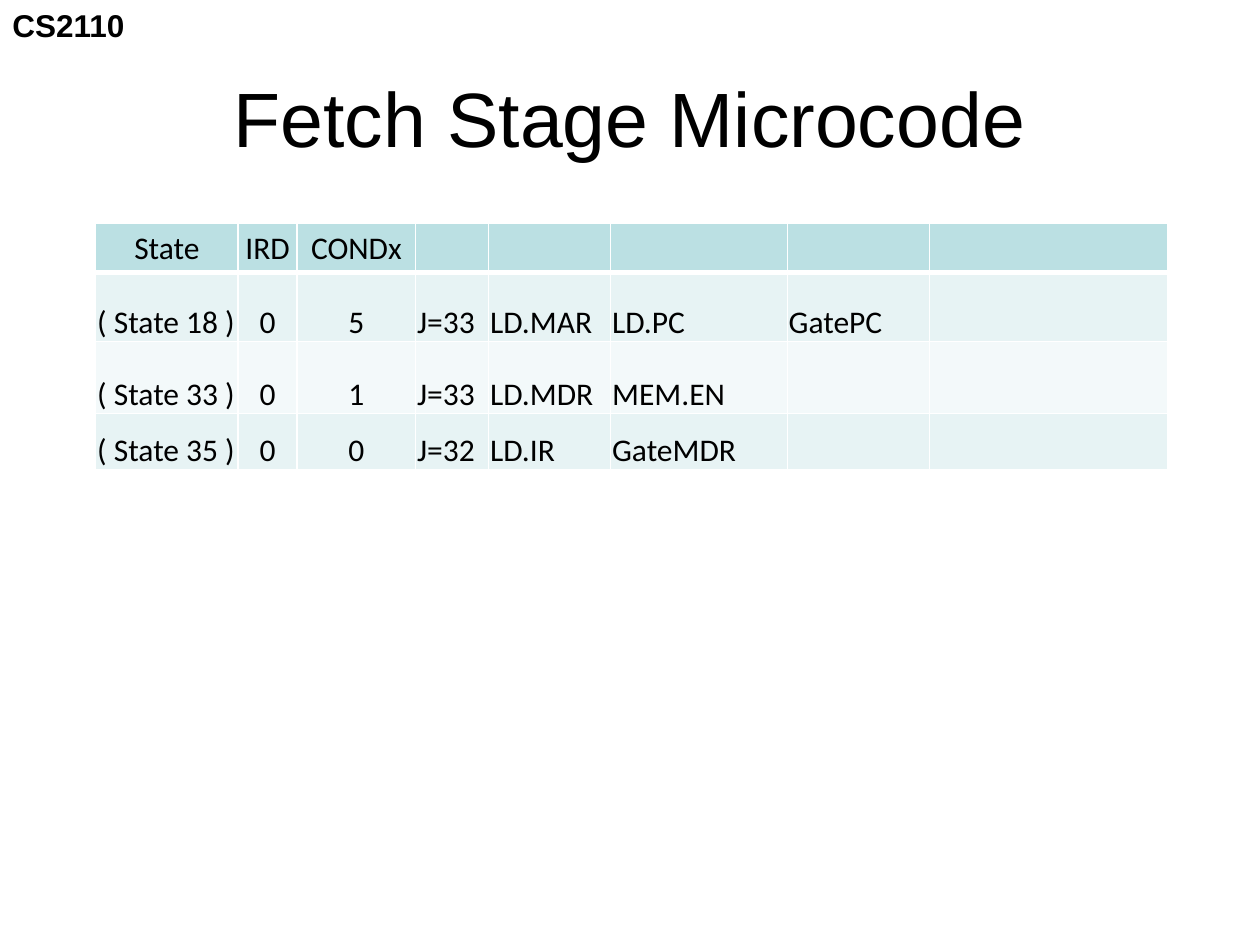
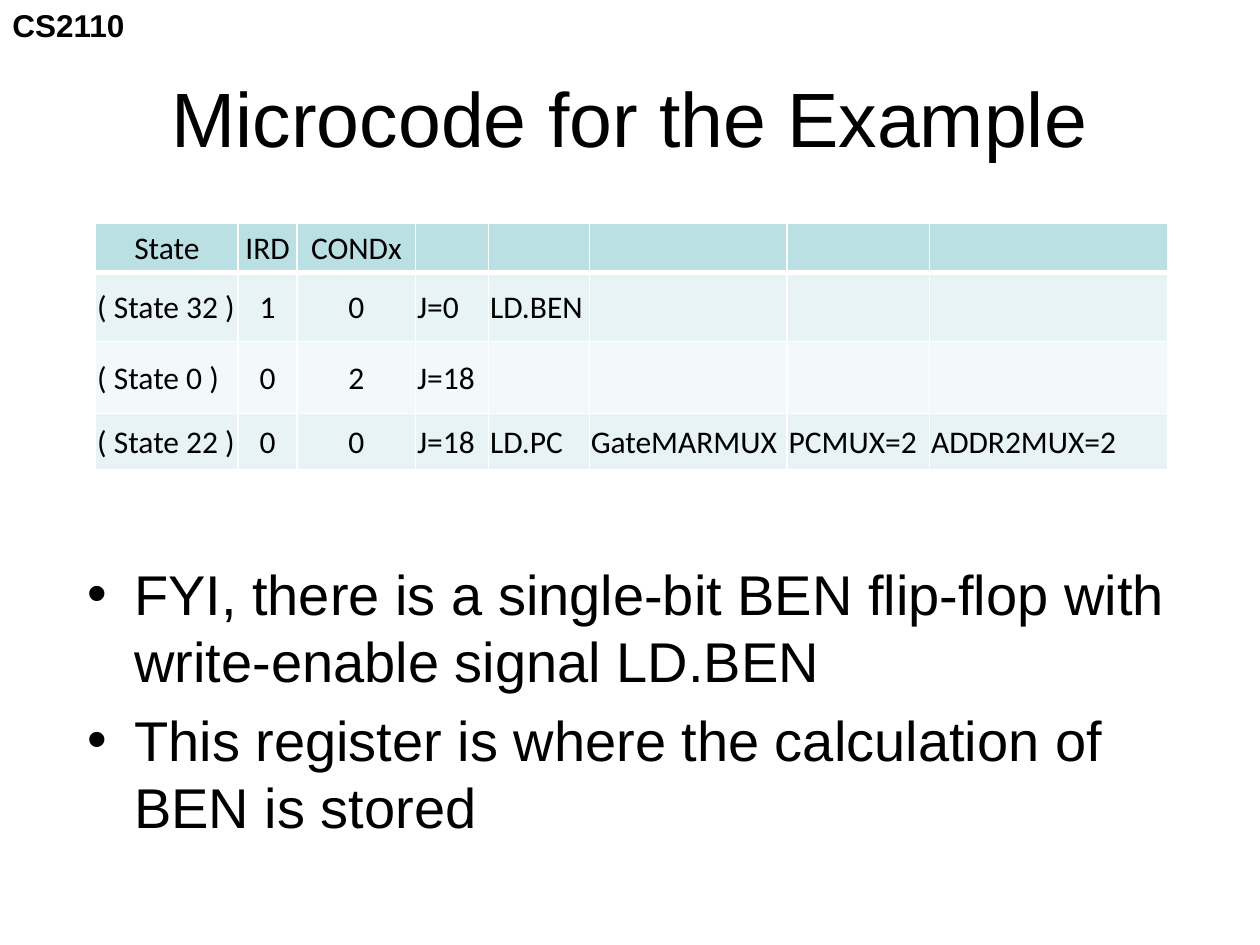
from dataclasses import dataclass

from lxml import etree
from pptx import Presentation, util as u
from pptx.dml.color import RGBColor
from pptx.enum import text
from pptx.oxml.ns import qn

COURSE = "CS2110"
HEADINGS = ["State", "IRD", "CONDx"]
SLIDES = [
    {
        "title": "Fetch Stage Microcode",
        "states": [
            ["( State 18 )", "0", "5", "J=33", "LD.MAR", "LD.PC", "GatePC"],
            ["( State 33 )", "0", "1", "J=33", "LD.MDR", "MEM.EN"],
            ["( State 35 )", "0", "0", "J=32", "LD.IR", "GateMDR"],
        ],
        "signal_widths": [2.46, 3.56],
        "anchor": text.MSO_ANCHOR.BOTTOM,
        "remarks": [],
    },
    {
        "title": "Microcode for the Example",
        "states": [
            ["( State 32 )", "1", "0", "J=0", "LD.BEN"],
            ["( State 0 )", "0", "2", "J=18"],
            ["( State 22 )", "0", "0", "J=18", "LD.PC", "GateMARMUX", "PCMUX=2", "ADDR2MUX=2"],
        ],
        "signal_widths": [2.03, 3.99],
        "anchor": text.MSO_ANCHOR.MIDDLE,
        "remarks": [
            "FYI, there is a single-bit BEN flip-flop with write-enable signal LD.BEN",
            "This register is where the calculation of BEN is stored",
        ],
    },
]


@dataclass(frozen=True)
class Theme:
    ink: str = "000000"
    rule: str = "FFFFFF"
    heading_fill: str = "BBE0E3"
    row_fills: tuple = ("E7F3F4", "F3F9FA")
    sans: str = "Arial"
    table_font: str = "Calibri"
    title_size: int = 44
    remark_size: int = 32
    small_size: int = 18
    thin: int = 1
    thick: int = 3


THEME = Theme()
TITLE_AND_CONTENT, TITLE_ONLY = 1, 5
LEADING_WIDTHS = [2.87, 1.19, 2.39, 1.47]
TRAILING_WIDTHS = [2.87, 4.8]
ROW_HEIGHTS = [0.99, 1.4, 1.45, 1.14]
CENTRED_COLUMNS = (1, 2)
TITLE_BOX = (1.27, 0.76, 22.86, 3.18)
REMARKS_BOX = (1.5, 11.15, 22.86, 5.94)
COURSE_BOX = (0, 0, 2.79, 1.02)
TABLE_CORNER = (1.93, 4.5)
CELL_MARGINS = {"margin_left": u.Cm(0.03), "margin_right": u.Cm(0.03),
                "margin_top": u.Cm(0.03), "margin_bottom": 0}


def assign(target, values):
    for name, value in values.items():
        setattr(target, name, value)


def place(shape, box):
    assign(shape, dict(zip(("left", "top", "width", "height"), map(u.Cm, box))))


def write(frame, lines, size, font, bold=False, align=None):
    for index, line in enumerate(lines):
        paragraph = frame.add_paragraph() if index else frame.paragraphs[0]
        paragraph.alignment = align
        run = paragraph.add_run()
        run.text = line
        assign(run.font, {"size": u.Pt(size), "name": font, "bold": bold})
        run.font.color.rgb = RGBColor.from_string(THEME.ink)


def rule_cell(cell, top, bottom):
    properties = cell._tc.get_or_add_tcPr()
    for side, points in zip("LRTB", (THEME.thin, THEME.thin, top, bottom)):
        edge = etree.SubElement(properties, qn(f"a:ln{side}"), w=str(u.Pt(points)))
        fill = etree.SubElement(edge, qn("a:solidFill"))
        etree.SubElement(fill, qn("a:srgbClr"), val=THEME.rule)


def add_microcode(slide, states, signal_widths, anchor):
    widths = LEADING_WIDTHS + signal_widths + TRAILING_WIDTHS
    size = (sum(widths), sum(ROW_HEIGHTS))
    microcode = slide.shapes.add_table(
        len(states) + 1, len(widths), *map(u.Cm, TABLE_CORNER + size)).table
    for column, width in zip(microcode.columns, widths):
        column.width = u.Cm(width)
    for row, height in zip(microcode.rows, ROW_HEIGHTS):
        row.height = u.Cm(height)

    for r, entries in enumerate([HEADINGS] + states):
        heading = r == 0
        fill = THEME.heading_fill if heading else THEME.row_fills[(r - 1) % 2]
        for c in range(len(widths)):
            cell = microcode.cell(r, c)
            assign(cell, CELL_MARGINS)
            cell.vertical_anchor = text.MSO_ANCHOR.MIDDLE if heading else anchor
            rule_cell(cell, THEME.thick if r == 1 else THEME.thin,
                      THEME.thick if heading else THEME.thin)
            cell.fill.solid()
            cell.fill.fore_color.rgb = RGBColor.from_string(fill)
            centred = heading or c in CENTRED_COLUMNS
            write(cell.text_frame, entries[c:c + 1], THEME.small_size, THEME.table_font,
                  align=text.PP_ALIGN.CENTER if centred else text.PP_ALIGN.LEFT)


def add_course(slide):
    course = slide.shapes.add_textbox(*map(u.Cm, COURSE_BOX))
    course.text_frame.word_wrap = False
    write(course.text_frame, [COURSE], THEME.small_size, THEME.sans, bold=True)


def add_title(slide, wording):
    title = slide.shapes.title
    place(title, TITLE_BOX)
    assign(title.text_frame, {"vertical_anchor": text.MSO_ANCHOR.MIDDLE,
                              "auto_size": text.MSO_AUTO_SIZE.NONE})
    write(title.text_frame, [wording], THEME.title_size, THEME.sans,
          align=text.PP_ALIGN.CENTER)


def add_remarks(slide, remarks):
    body = slide.placeholders[1]
    place(body, REMARKS_BOX)
    body.text_frame.auto_size = text.MSO_AUTO_SIZE.NONE
    write(body.text_frame, remarks, THEME.remark_size, THEME.sans)


def main():
    deck = Presentation()
    assign(deck, {"slide_width": u.Cm(25.4), "slide_height": u.Cm(19.05)})
    for content in SLIDES:
        remarks = content["remarks"]
        layout = TITLE_AND_CONTENT if remarks else TITLE_ONLY
        slide = deck.slides.add_slide(deck.slide_layouts[layout])
        add_course(slide)
        add_title(slide, content["title"])
        if remarks:
            add_remarks(slide, remarks)
        add_microcode(slide, content["states"], content["signal_widths"], content["anchor"])
    deck.save("out.pptx")


if __name__ == "__main__":
    main()
